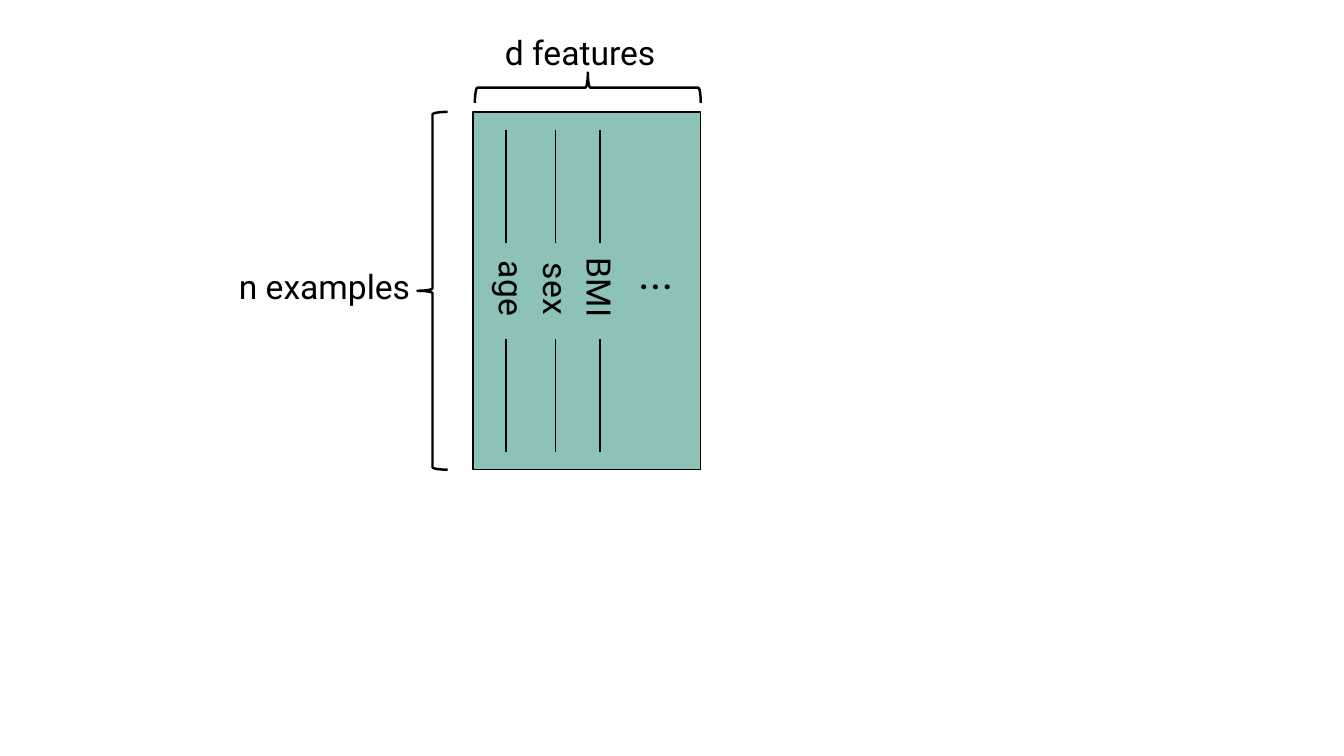
from pptx import Presentation
from pptx.dml.color import RGBColor
from pptx.enum.shapes import MSO_CONNECTOR, MSO_SHAPE
from pptx.enum.text import MSO_AUTO_SIZE
from pptx.oxml.ns import qn
from pptx.util import Emu, Pt
from lxml import etree

PX = 9144  # 100 px to the inch


def rgb(color):
    return RGBColor.from_string(color)


def px(*lengths):
    return [Emu(n * PX) for n in lengths]


class Sketch:
    font, ink, teal = "Roboto", "000000", "8CC2B7"

    def __init__(self, slide):
        self.s = slide

    def stroke(self, line, width):
        line.color.rgb = rgb(self.ink)
        line.width = Pt(width)

    def shape(self, kind, box, width, fill=None, rotation=0):
        sp = self.s.shapes.add_shape(kind, *px(*box))
        sp.shadow.inherit = False
        sp.rotation = rotation
        if fill:
            sp.fill.solid()
            sp.fill.fore_color.rgb = rgb(fill)
        else:
            sp.fill.background()
        self.stroke(sp.line, width)
        return sp

    def text(self, words, box, size=24, rotation=0):
        sp = self.s.shapes.add_textbox(*px(*box))
        sp.rotation = rotation
        tf = sp.text_frame
        tf.word_wrap = True
        tf.auto_size = MSO_AUTO_SIZE.SHAPE_TO_FIT_TEXT
        tf.text = words
        font = tf.paragraphs[0].runs[0].font
        font.name, font.size = self.font, Pt(size)
        font.color.rgb = rgb(self.ink)
        return sp

    def vertical(self, x, bottom, top):
        line = self.s.shapes.add_connector(
            MSO_CONNECTOR.STRAIGHT, *px(x, bottom, x, top))
        etree.SubElement(line._element.spPr, qn("a:effectLst"))
        self.stroke(line.line, 1)
        return line


def main():
    prs = Presentation()
    prs.slide_width, prs.slide_height = px(1333, 750)
    sketch = Sketch(prs.slides.add_slide(prs.slide_layouts[6]))

    # Data matrix
    sketch.shape(MSO_SHAPE.RECTANGLE, (469, 111, 226, 355), 1, sketch.teal)

    # Feature columns: name, label left and top, line position
    for name, left, top, x in (("age", 457, 275, 502),
                               ("sex", 501, 277, 551),
                               ("BMI", 544, 272, 595)):
        sketch.text(name, (left, top, 102, 50), rotation=90)
        for bottom in (241, 448):
            sketch.vertical(x, bottom, bottom - 112)
    sketch.text("...", (623, 238, 67, 64), size=32)

    # Braces and dimensions
    sketch.shape(MSO_SHAPE.LEFT_BRACE, (414, 111, 30, 355), 1.75)
    sketch.text("n examples", (227, 259, 282, 50))
    sketch.shape(MSO_SHAPE.LEFT_BRACE, (568, -25, 30, 224), 1.75, rotation=90)
    sketch.text("d features", (491, 27, 204, 50))

    prs.save("out.pptx")


if __name__ == "__main__":
    main()
